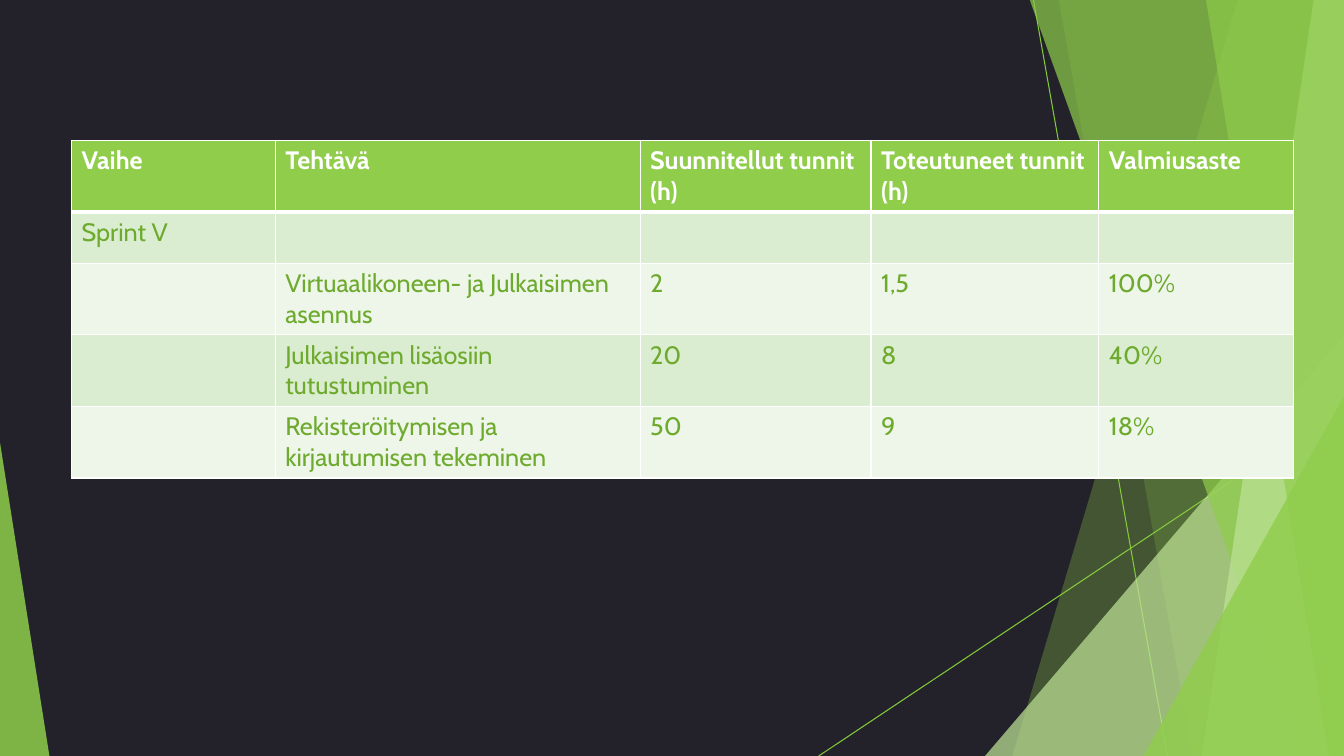
from lxml.etree import SubElement
from pptx import Presentation
from pptx.dml.color import RGBColor
from pptx.enum.shapes import MSO_CONNECTOR, MSO_SHAPE
from pptx.oxml.ns import qn
from pptx.util import Inches, Pt

WIDE, HIGH = 13.33, 7.5
COLORS = {
    "night": "23222A", "line": "83CB39", "green": "8FCD4B",
    "pale": "BDE295", "white": "FFFFFF", "text": "6DAA2D",
    "dark": "DBEDD0", "light": "EEF6E9",
}


def color(name):
    return RGBColor.from_string(COLORS[name])


class Deck:
    """Holds the style and the current slide."""

    def __init__(self, font, size):
        self.font, self.size = font, Pt(size)
        self.prs = Presentation()
        self.prs.slide_width = Inches(WIDE)
        self.prs.slide_height = Inches(HIGH)
        self.slide = self.prs.slides.add_slide(self.prs.slide_layouts[6])
        self.shapes = self.slide.shapes
        back = self.slide.background.fill
        back.solid()
        back.fore_color.rgb = color("night")

    def line(self, x1, y1, x2, y2):
        line = self.shapes.add_connector(
            MSO_CONNECTOR.STRAIGHT, *map(Inches, (x1, y1, x2, y2)))
        line.line.color.rgb = color("line")
        line.line.width = Pt(0.75)
        SubElement(line.element.spPr, qn("a:effectLst"))

    def paint(self, shape, name, alpha):
        shape.shadow.inherit = False
        shape.line.fill.background()
        shape.fill.solid()
        shape.fill.fore_color.rgb = color(name)
        tone = shape.element.spPr.find(qn("a:solidFill"))[0]
        SubElement(tone, qn("a:alpha"), val=str(alpha * 1000))

    def band(self, top, base, name, alpha):
        """Slanted left edge, running to the right side of the slide."""
        form = self.shapes.build_freeform(Inches(top), Inches(-0.01), 1.0)
        points = [(WIDE, -0.01), (WIDE, HIGH), (base, HIGH)]
        form.add_line_segments([tuple(map(Inches, p)) for p in points])
        self.paint(form.convert_to_shape(), name, alpha)

    def wedge(self, x, y, width, peak, name, alpha):
        """Triangle standing on the bottom of the slide."""
        shape = self.shapes.add_shape(
            MSO_SHAPE.ISOSCELES_TRIANGLE,
            *map(Inches, (x, y, width, HIGH - y)))
        shape.adjustments[0] = peak
        self.paint(shape, name, alpha)

    def cell(self, cell, text, fill, ink, bold):
        cell.text_frame.text = text
        for run in cell.text_frame.paragraphs[0].runs:
            run.font.name, run.font.size = self.font, self.size
            run.font.bold = bold
            run.font.color.rgb = color(ink)
        # Borders come before the fill
        props = cell._tc.get_or_add_tcPr()
        for side in "LRTB":
            thick = 3 if bold and side == "B" else 1
            edge = SubElement(props, qn("a:ln" + side), w=str(Pt(thick)))
            solid = SubElement(edge, qn("a:solidFill"))
            SubElement(solid, qn("a:srgbClr"), val=COLORS["white"])
        cell.fill.solid()
        cell.fill.fore_color.rgb = color(fill)

    def table(self, x, y, cols, highs, rows):
        table = self.shapes.add_table(
            len(rows), len(cols),
            *map(Inches, (x, y, sum(cols), sum(highs)))).table
        for col, width in zip(table.columns, cols):
            col.width = Inches(width)
        for i, (row, high) in enumerate(zip(rows, highs)):
            table.rows[i].height = Inches(high)
            head = i == 0
            fill = "green" if head else "dark" if i % 2 else "light"
            ink = "white" if head else "text"
            for j, text in enumerate(row):
                self.cell(table.cell(i, j), text, fill, ink, head)

    def save(self):
        self.prs.save("out.pptx")


def main():
    deck = Deck("Cabin", 18)

    # Thin lines
    deck.line(10.25, 0, 11.58, HIGH)
    deck.line(WIDE, 4.03, 8.12, HIGH)

    # Green facets, back to front
    deck.band(12.28, 10.04, "green", 30)
    deck.band(10.5, 11.83, "green", 20)
    deck.wedge(9.77, 3.33, 3.56, 1, "pale", 72)
    deck.band(10.21, 12.91, "green", 70)
    deck.band(13.03, 11.92, "pale", 70)
    deck.band(11.96, 13.18, "green", 65)
    deck.wedge(11.34, 3.93, 1.99, 1, "green", 80)
    deck.wedge(0, 4.39, 0.49, 0, "green", 85)

    # Sprint hours
    rows = [
        ("Vaihe", "Tehtävä", "Suunnitellut tunnit (h)",
         "Toteutuneet tunnit (h)", "Valmiusaste"),
        ("Sprint V", "", "", "", ""),
        ("", "Virtuaalikoneen- ja Julkaisimen asennus", "2", "1,5", "100%"),
        ("", "Julkaisimen lisäosiin tutustuminen", "20", "8", "40%"),
        ("", "Rekisteröitymisen ja kirjautumisen tekeminen",
         "50", "9", "18%"),
    ]
    deck.table(0.71, 1.39, [2.02, 3.62, 2.29, 2.26, 1.93],
               [0.71, 0.51, 0.71, 0.71, 0.71], rows)
    deck.save()


if __name__ == "__main__":
    main()
